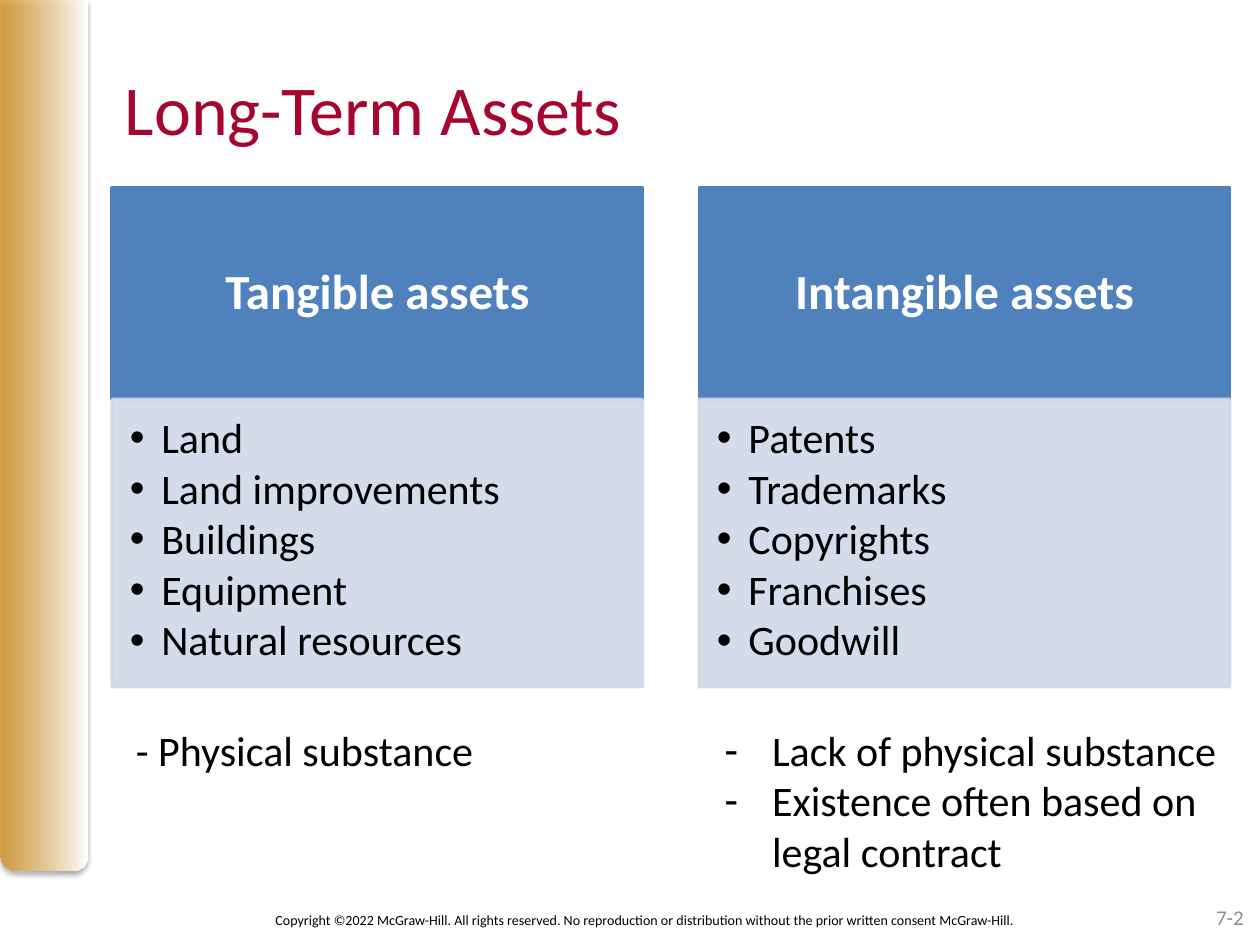
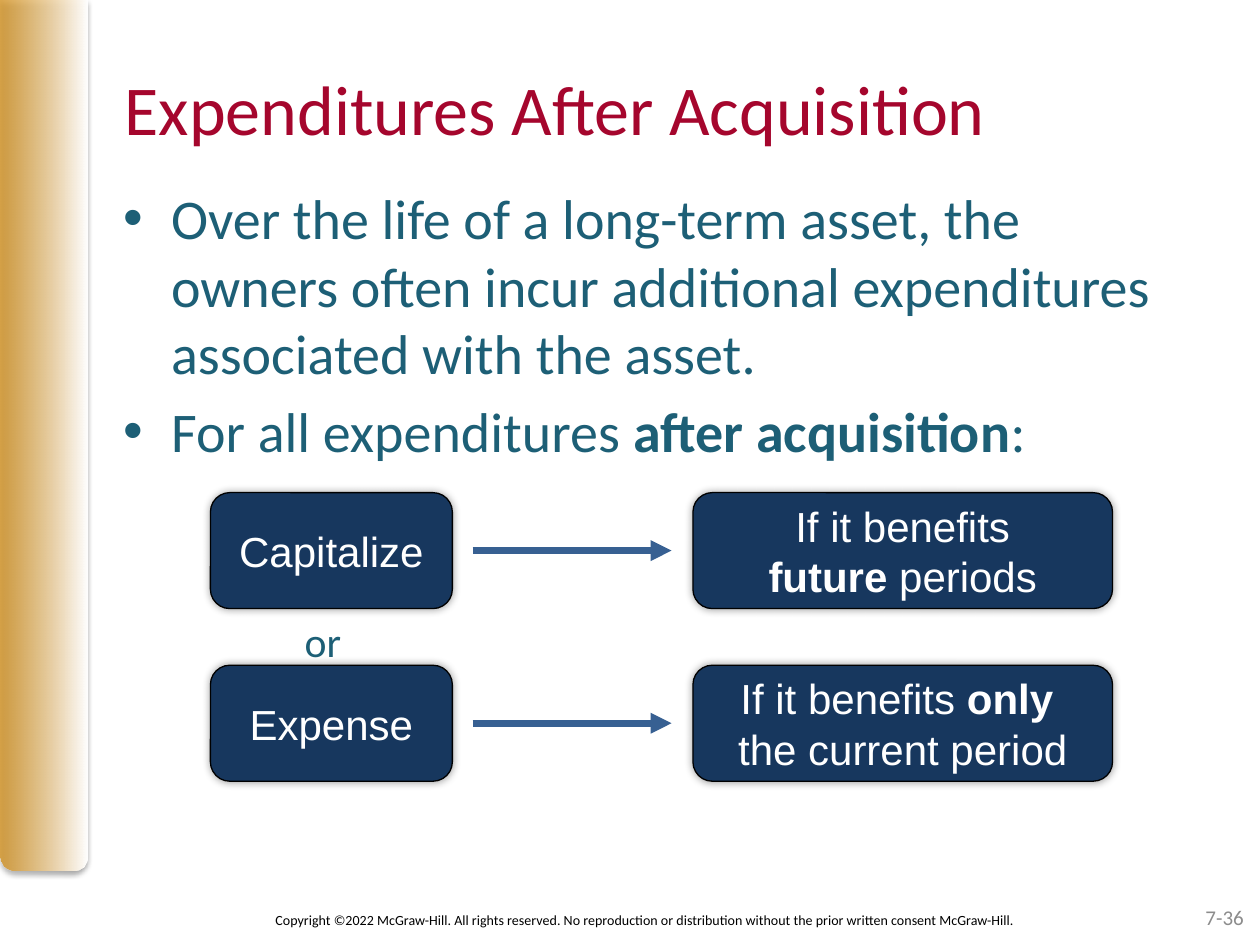
from dataclasses import dataclass

import pptx
import pptx.dml.color
import pptx.enum.shapes
import pptx.enum.text
import pptx.oxml
import pptx.oxml.ns
import pptx.slide
import pptx.util
from pptx.util import Inches

SHAPE = pptx.enum.shapes.MSO_SHAPE
ALIGN = pptx.enum.text.PP_ALIGN
ANCHOR = pptx.enum.text.MSO_ANCHOR
qn = pptx.oxml.ns.qn

GOLD, CRIMSON, TEAL = "D49323", "A5062D", "1D5F76"
BLUE, PALE_BLUE, NAVY, ARROW_BLUE = "4F81BD", "D0D8E8", "17375E", "376092"
WHITE, BLACK, GREY = "FFFFFF", "000000", "8C8C8C"
COPYRIGHT = ("Copyright ©2022 McGraw-Hill. All rights reserved. No reproduction or "
             "distribution without the prior written consent McGraw-Hill. ")


@dataclass
class Box:
    left: float
    top: float
    width: float
    height: float

    def emu(self) -> list:
        return [Inches(v) for v in (self.left, self.top, self.width, self.height)]


@dataclass
class Style:
    size: float
    color: str = BLACK
    font: str = "Calibri"
    bold: bool = False
    align: ALIGN = ALIGN.LEFT
    anchor: ANCHOR = ANCHOR.TOP
    insets: tuple = (0.1, 0.05, 0.1, 0.05)
    wrap: bool = True
    bullet: str = ""
    indent: float = 0
    line_spacing: float = 1.0
    gap: float = 0


@dataclass
class AssetColumn:
    left: float
    heading: str
    items: list


@dataclass
class Treatment:
    top: float
    action: str
    condition: str


TITLE = Style(40, CRIMSON)
HEADING = Style(28, WHITE, bold=True, align=ALIGN.CENTER, anchor=ANCHOR.MIDDLE,
                insets=(0.22, 0.12, 0.22, 0.12), line_spacing=0.9)
ITEMS = Style(24, insets=(0.14, 0.14, 0.19, 0.21), bullet="•", indent=0.25,
              line_spacing=0.9, gap=3)
NOTE = Style(24, wrap=False)
DASHES = Style(24, bullet="-", indent=0.38)
BODY = Style(32, TEAL, bullet="•", indent=0.38, gap=6.4)
CARD = Style(24, WHITE, "Arial", align=ALIGN.CENTER, anchor=ANCHOR.MIDDLE, wrap=False)
OR = Style(23.8, TEAL)
FOOTER = Style(8, align=ALIGN.CENTER, anchor=ANCHOR.MIDDLE)
NUMBER = Style(12, GREY, align=ALIGN.RIGHT, anchor=ANCHOR.MIDDLE)


# Colours and XML details
def rgb(color: str) -> pptx.dml.color.RGBColor:
    return pptx.dml.color.RGBColor.from_string(color)


def add_xml(parent, tag: str, **attrs):
    child = parent.makeelement(qn(tag), {k: str(v) for k, v in attrs.items()})
    parent.append(child)
    return child


def set_opacity(element, percent: int) -> None:
    for clr in element.iter(qn("a:srgbClr")):
        add_xml(clr, "a:alpha", val=percent * 1000)


def add_shadow(sp, opacity: int, blur: float, distance: float) -> None:
    effects = sp._element.spPr.find(qn("a:effectLst"))
    shadow = add_xml(effects, "a:outerShdw", blurRad=int(pptx.util.Pt(blur)),
                     dist=int(pptx.util.Pt(distance)), dir=5400000, rotWithShape=0)
    add_xml(shadow, "a:srgbClr", val=BLACK)
    set_opacity(shadow, opacity)


# Text: ** toggles bold, a newline is a line break
def add_runs(p, text: str, style: Style) -> None:
    for i, part in enumerate(text.split("**")):
        for j, line in enumerate(part.split("\n")):
            if j:
                p.add_line_break()
            if line:
                r = p.add_run()
                r.text = line
                r.font.name = style.font
                r.font.size = pptx.util.Pt(style.size)
                r.font.bold = style.bold or i % 2 == 1
                r.font.color.rgb = rgb(style.color)


def write(sp, texts: list, style: Style) -> None:
    tf = sp.text_frame
    tf.word_wrap = style.wrap
    tf.vertical_anchor = style.anchor
    tf.margin_left, tf.margin_top, tf.margin_right, tf.margin_bottom = map(
        Inches, style.insets)
    for i, text in enumerate(texts):
        p = tf.add_paragraph() if i else tf.paragraphs[0]
        if style.bullet:
            pPr = p._p.get_or_add_pPr()
            pPr.set("marL", str(Inches(style.indent)))
            pPr.set("indent", str(-Inches(style.indent)))
            add_xml(pPr, "a:buFont", typeface="Arial")
            add_xml(pPr, "a:buChar", char=style.bullet)
        p.alignment = style.align
        p.line_spacing = style.line_spacing
        p.space_before = pptx.util.Pt(style.gap if i else 0)
        add_runs(p, text, style)


def add_text(s: pptx.slide.Slide, box: Box, texts: list, style: Style) -> None:
    write(s.shapes.add_textbox(*box.emu()), texts, style)


# Shapes
def add_panel(s: pptx.slide.Slide, kind: SHAPE, box: Box, fill: str,
              line: str = "", width: float = 2):
    sp = s.shapes.add_shape(kind, *box.emu())
    sp.shadow.inherit = False
    sp.fill.solid()
    sp.fill.fore_color.rgb = rgb(fill)
    if line:
        sp.line.color.rgb = rgb(line)
        sp.line.width = pptx.util.Pt(width)
    else:
        sp.line.fill.background()
    return sp


def add_arrow(s: pptx.slide.Slide, left: float, right: float, y: float) -> None:
    arrow = s.shapes.add_connector(pptx.enum.shapes.MSO_CONNECTOR.STRAIGHT,
                                   Inches(left), Inches(y), Inches(right), Inches(y))
    arrow.line.color.rgb = rgb(ARROW_BLUE)
    arrow.line.width = pptx.util.Pt(4)
    add_xml(arrow.line._get_or_add_ln(), "a:tailEnd", type="triangle")
    add_xml(arrow._element.spPr, "a:effectLst")


# Shared slide frame: gold band, title, footer
def add_slide(prs, title: str, number: str) -> pptx.slide.Slide:
    s = prs.slides.add_slide(prs.slide_layouts[5])
    band = add_panel(s, SHAPE.ROUND_2_SAME_RECTANGLE, Box(0, 0, 0.69, 6.91), GOLD)
    band.adjustments[0], band.adjustments[1] = 0, 0.17
    band.fill.gradient()
    band.fill.gradient_angle = 0
    start, end = band.fill.gradient_stops
    start.color.rgb, end.color.rgb = rgb(GOLD), rgb(WHITE)
    start.position, end.position = 0, 1
    set_opacity(start._gs, 80)
    add_shadow(band, 35, 3.1, 1.8)

    sp = s.shapes.title
    sp.left, sp.top, sp.width, sp.height = Box(0.89, 0.47, 9, 1.25).emu()
    write(sp, [title], TITLE)
    add_text(s, Box(1.56, 7.1, 7.15, 0.4), [COPYRIGHT], FOOTER)
    add_text(s, Box(7.64, 7.08, 2.33, 0.4), [number], NUMBER)
    return s


def build_long_term_assets(prs) -> None:
    s = add_slide(prs, "Long-Term Assets", "7-2")
    columns = [
        AssetColumn(0.89, "Tangible assets",
                    ["Land", "Land improvements", "Buildings", "Equipment",
                     "Natural resources"]),
        AssetColumn(5.55, "Intangible assets",
                    ["Patents", "Trademarks", "Copyrights", "Franchises", "Goodwill"]),
    ]
    for col in columns:
        heading = add_panel(s, SHAPE.RECTANGLE, Box(col.left, 1.49, 4.21, 1.68),
                            BLUE, BLUE)
        write(heading, [col.heading], HEADING)
        items = add_panel(s, SHAPE.RECTANGLE, Box(col.left, 3.17, 4.21, 2.28),
                          PALE_BLUE, PALE_BLUE)
        set_opacity(items._element.spPr, 90)
        write(items, col.items, ITEMS)

    add_text(s, Box(0.98, 5.7, 2.9, 0.5), ["- Physical substance"], NOTE)
    add_text(s, Box(5.65, 5.7, 4.24, 1.31),
             ["Lack of physical substance", "Existence often based on legal contract"],
             DASHES)


def build_expenditures(prs) -> None:
    s = add_slide(prs, "Expenditures After Acquisition", "7-36")
    add_text(s, Box(0.88, 1.41, 8.7, 2.92),
             ["Over the life of a long-term asset, the owners often incur additional "
              "expenditures associated with the asset.",
              "For all expenditures **after acquisition**:"], BODY)

    # Each treatment points to the condition for it
    card_height = 0.92
    treatments = [
        Treatment(3.91, "Capitalize", "If it benefits\n**future** periods"),
        Treatment(5.28, "Expense", "If it benefits **only \n**the current period"),
    ]
    for t in treatments:
        for left, width, text in ((1.67, 1.92, t.action), (5.5, 3.33, t.condition)):
            card = add_panel(s, SHAPE.ROUNDED_RECTANGLE,
                             Box(left, t.top, width, card_height), NAVY, BLACK, 0.75)
            add_shadow(card, 40, 5, 0)
            write(card, [text], CARD)
        add_arrow(s, 3.75, 5.33, t.top + card_height / 2)
    add_text(s, Box(2.32, 4.84, 0.61, 0.46), ["or"], OR)


def main() -> None:
    prs = pptx.Presentation()
    prs.slide_width, prs.slide_height = Inches(10), Inches(7.5)
    build_long_term_assets(prs)
    build_expenditures(prs)
    prs.save("out.pptx")


if __name__ == "__main__":
    main()
